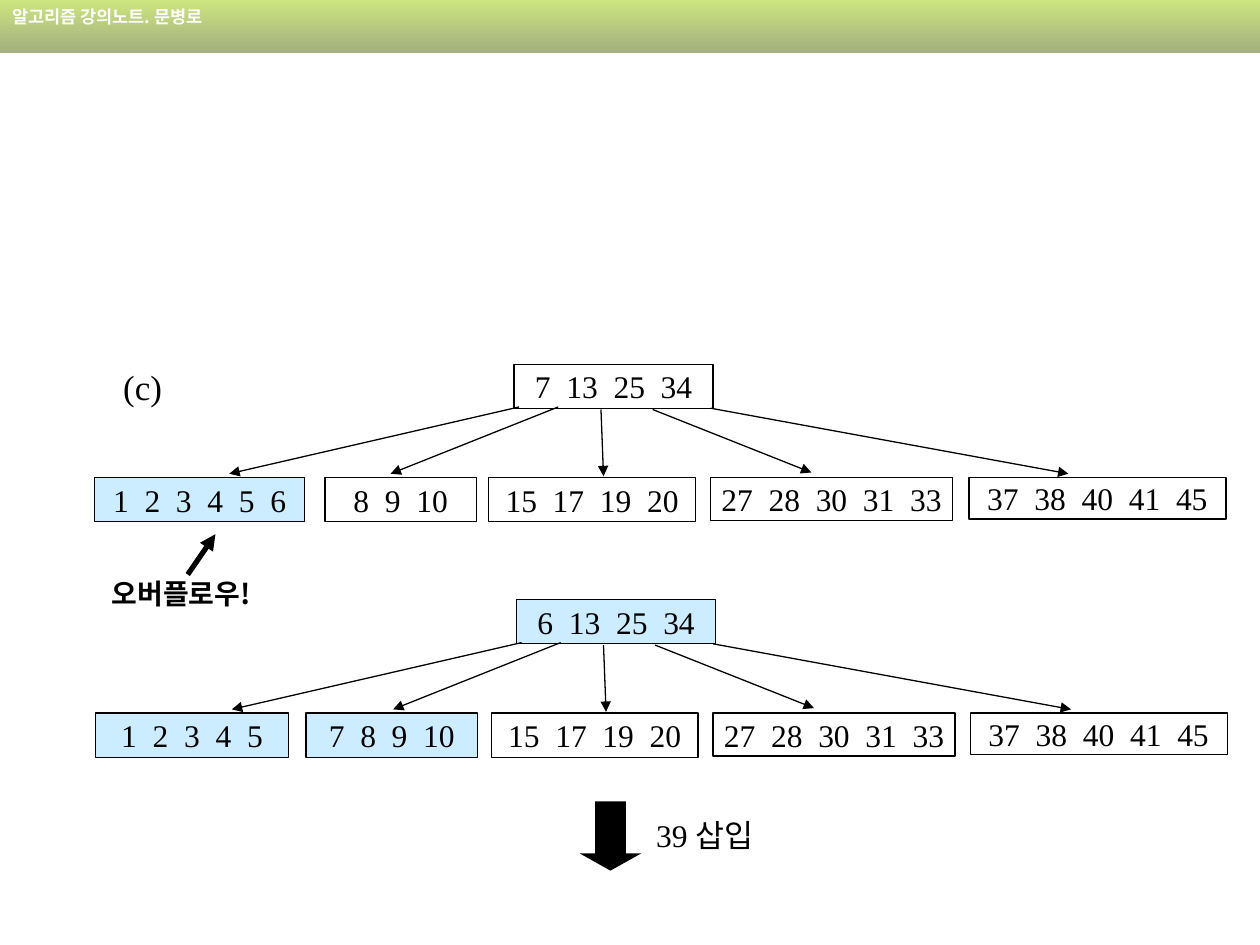
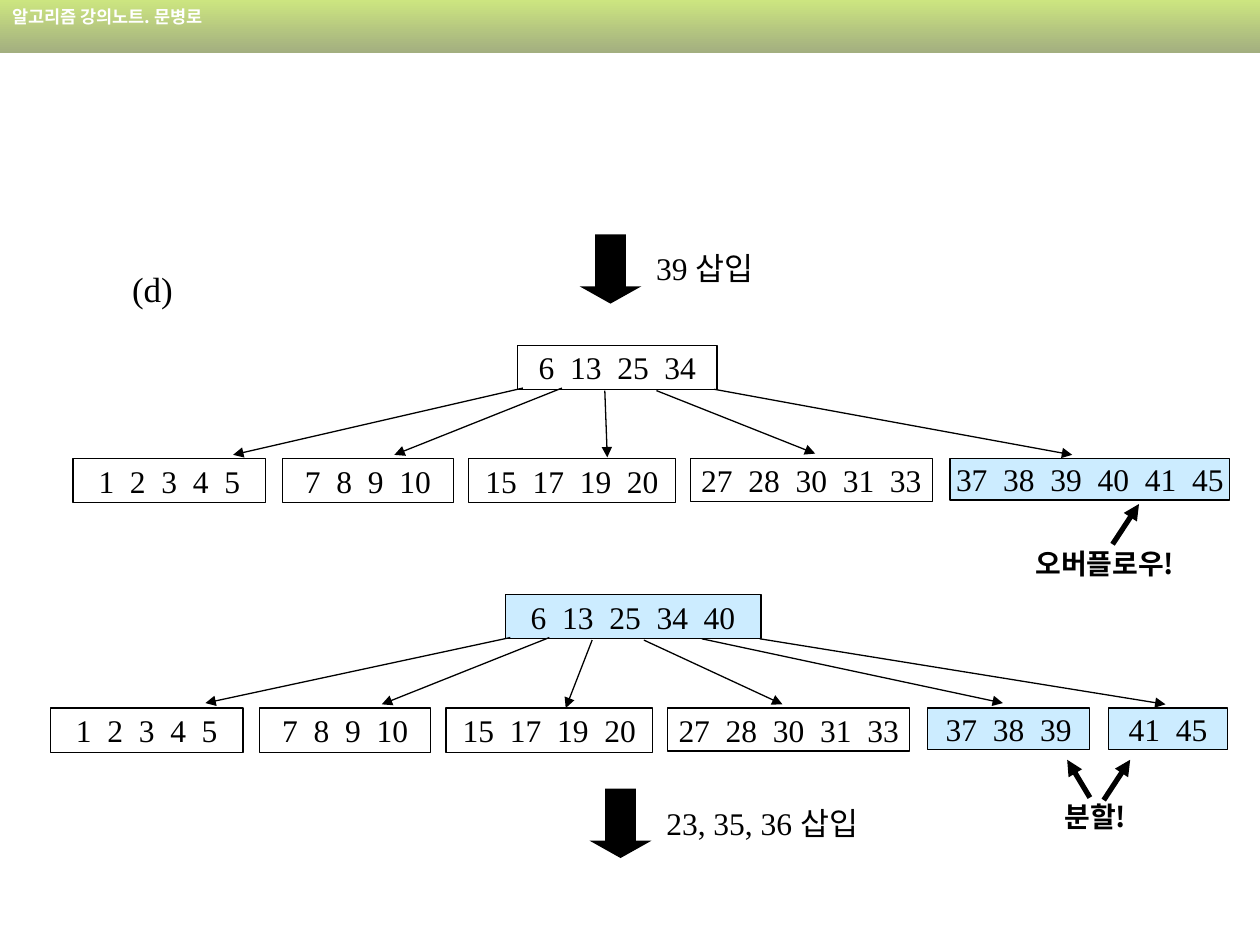
from lxml import etree
from pptx import Presentation
from pptx.dml.color import RGBColor
from pptx.enum.shapes import MSO_CONNECTOR, MSO_SHAPE
from pptx.enum.text import MSO_ANCHOR, MSO_AUTO_SIZE, PP_ALIGN
from pptx.oxml.ns import qn
from pptx.util import Inches, Pt

RECT, DOWN_ARROW = MSO_SHAPE.RECTANGLE, MSO_SHAPE.DOWN_ARROW
STRAIGHT = MSO_CONNECTOR.STRAIGHT
TOP, MIDDLE = MSO_ANCHOR.TOP, MSO_ANCHOR.MIDDLE
LEFT, CENTER = PP_ALIGN.LEFT, PP_ALIGN.CENTER
FIT_TEXT = MSO_AUTO_SIZE.SHAPE_TO_FIT_TEXT

COLORS = {
    "ink": "000000",
    "changed": "CCECFF",
    "band_top": "CCE580",
    "band_bottom": "A3AF80",
    "band_text": "FFFFFF",
}
SERIF, KOREAN = "Times New Roman", "Noto Sans CJK KR"
BAND_TEXT = "알고리즘 강의노트. 문병로"

# Pointer ends are measured from the top left corner of the root.
POINTER_STARTS = [(0.04, 0.34), (0.35, 0.34), (0.69, 0.36),
                  (1.10, 0.36), (1.56, 0.35), (2.02, 0.35)]
FIVE_ENDS = [(-2.26, 0.87), (-0.98, 0.87), (0.71, 0.89), (2.36, 0.86), (4.40, 0.87)]
SIX_ENDS = [(-2.38, 0.86), (-0.98, 0.87), (0.48, 0.90), (2.20, 0.87),
            (3.95, 0.86), (5.24, 0.87)]
LEAF_DROP = 0.9
NODE_HEIGHT = 0.35
LEAF_HEIGHTS = [0.35, 0.35, 0.35, 0.34, 0.33, 0.33]

# root: left, top, width, keys, changed; leaf: left, width, keys, changed
SLIDES = [
    {
        "label": ("(c)", 0.88, 2.85, 0.7),
        "trees": [
            {"root": (4.08, 2.89, 1.58, [7, 13, 25, 34], False),
             "ends": FIVE_ENDS,
             "leaves": [(0.75, 1.67, [1, 2, 3, 4, 5, 6], True),
                        (2.58, 1.20, [8, 9, 10], False),
                        (3.88, 1.64, [15, 17, 19, 20], False),
                        (5.64, 1.92, [27, 28, 30, 31, 33], False),
                        (7.69, 2.04, [37, 38, 40, 41, 45], False)]},
            {"root": (4.10, 4.76, 1.58, [6, 13, 25, 34], True),
             "ends": FIVE_ENDS,
             "leaves": [(0.76, 1.53, [1, 2, 3, 4, 5], True),
                        (2.43, 1.36, [7, 8, 9, 10], True),
                        (3.90, 1.64, [15, 17, 19, 20], False),
                        (5.66, 1.92, [27, 28, 30, 31, 33], False),
                        (7.70, 2.04, [37, 38, 40, 41, 45], False)]},
        ],
        "notes": [("오버플로우!", 0.79, 4.53, 1.5)],
        "note_arrows": [((1.49, 4.56), (1.71, 4.24))],
        "steps": [("39 삽입", 4.60, 6.36, 1.2)],
    },
    {
        "label": ("(d)", 0.95, 2.07, 0.7),
        "trees": [
            {"root": (4.11, 2.74, 1.58, [6, 13, 25, 34], False),
             "ends": FIVE_ENDS,
             "leaves": [(0.58, 1.53, [1, 2, 3, 4, 5], False),
                        (2.24, 1.36, [7, 8, 9, 10], False),
                        (3.72, 1.64, [15, 17, 19, 20], False),
                        (5.48, 1.92, [27, 28, 30, 31, 33], False),
                        (7.54, 2.22, [37, 38, 39, 40, 41, 45], True)]},
            {"root": (4.01, 4.72, 2.03, [6, 13, 25, 34, 40], True),
             "ends": SIX_ENDS,
             "leaves": [(0.40, 1.53, [1, 2, 3, 4, 5], False),
                        (2.06, 1.36, [7, 8, 9, 10], False),
                        (3.54, 1.64, [15, 17, 19, 20], False),
                        (5.30, 1.92, [27, 28, 30, 31, 33], False),
                        (7.36, 1.29, [37, 38, 39], True),
                        (8.80, 0.94, [41, 45], True)]},
        ],
        "notes": [("오버플로우!", 8.12, 4.29, 1.5), ("분할!", 8.35, 6.30, 0.9)],
        "note_arrows": [((8.83, 4.32), (9.04, 4.00)),
                        ((8.76, 6.35), (8.97, 6.03)),
                        ((8.65, 6.33), (8.47, 6.03))],
        "steps": [("39 삽입", 4.60, 1.86, 1.2),
                  ("23, 35, 36 삽입", 4.68, 6.26, 2.0)],
    },
]


def rgb(name):
    return RGBColor.from_string(COLORS[name])


def write(sp, text, size, font=SERIF, color="ink", bold=False, align=LEFT,
          anchor=TOP, wrap=True):
    tf = sp.text_frame
    tf.text = text
    tf.word_wrap = wrap
    tf.vertical_anchor = anchor
    p = tf.paragraphs[0]
    p.alignment = align
    r = p.runs[0]
    r.font.name = font
    r.font.size = Pt(size)
    r.font.bold = bold
    r.font.color.rgb = rgb(color)
    east_asian = etree.SubElement(r.font._element, qn("a:ea"))
    east_asian.set("typeface", KOREAN)


def add_preset(slide, kind, left, top, width, height):
    sp = slide.shapes.add_shape(kind, Inches(left), Inches(top),
                                Inches(width), Inches(height))
    sp.shadow.inherit = False
    sp.line.fill.background()
    return sp


def add_band(slide):
    sp = add_preset(slide, RECT, 0, 0, 10, 0.42)
    sp.fill.gradient()
    sp.fill.gradient_angle = 270
    for stop, name, position in zip(sp.fill.gradient_stops,
                                    ("band_top", "band_bottom"), (0, 1)):
        stop.color.rgb = rgb(name)
        stop.position = position
    write(sp, BAND_TEXT, 10, KOREAN, "band_text", bold=True)


def add_node(slide, left, top, width, height, keys, changed):
    sp = add_preset(slide, RECT, left, top, width, height)
    if changed:
        sp.fill.solid()
        sp.fill.fore_color.rgb = rgb("changed")
    else:
        sp.fill.background()
    sp.line.color.rgb = rgb("ink")
    sp.line.width = Pt(0.75)
    write(sp, "  ".join(map(str, keys)), 18, align=CENTER, anchor=MIDDLE, wrap=False)


def add_arrow(slide, start, end, weight=0.75):
    line = slide.shapes.add_connector(STRAIGHT, *map(Inches, start + end))
    line.line.color.rgb = rgb("ink")
    line.line.width = Pt(weight)
    props = line._element.spPr
    etree.SubElement(props.find(qn("a:ln")), qn("a:tailEnd")).set("type", "triangle")
    etree.SubElement(props, qn("a:effectLst"))


def add_text(slide, text, left, top, width, height, size, **style):
    sp = slide.shapes.add_textbox(Inches(left), Inches(top),
                                  Inches(width), Inches(height))
    write(sp, text, size, **style)
    sp.text_frame.auto_size = FIT_TEXT


def add_tree(slide, tree):
    left, top, width, keys, changed = tree["root"]
    for (x, w, leaf_keys, leaf_changed), height in zip(tree["leaves"], LEAF_HEIGHTS):
        add_node(slide, x, top + LEAF_DROP, w, height, leaf_keys, leaf_changed)
    add_node(slide, left, top, width, NODE_HEIGHT, keys, changed)
    for (x1, y1), (x2, y2) in zip(POINTER_STARTS, tree["ends"]):
        add_arrow(slide, (left + x1, top + y1), (left + x2, top + y2))


def add_step(slide, text, left, top, width):
    """Block arrow with the insertion that leads to the next state."""
    sp = add_preset(slide, DOWN_ARROW, left, top, 0.49, 0.55)
    sp.adjustments[0] = 0.5
    sp.adjustments[1] = 0.28
    sp.fill.solid()
    sp.fill.fore_color.rgb = rgb("ink")
    add_text(slide, text, left + 0.51, top + 0.07, width, 0.4, 18)


def main():
    prs = Presentation()
    prs.slide_width, prs.slide_height = Inches(10), Inches(7.5)
    for content in SLIDES:
        slide = prs.slides.add_slide(prs.slide_layouts[6])
        add_band(slide)
        for tree in content["trees"]:
            add_tree(slide, tree)
        add_text(slide, *content["label"], 0.44, 20)
        for note in content["notes"]:
            add_text(slide, *note, 0.37, 16, font=KOREAN, bold=True)
        for start, end in content["note_arrows"]:
            add_arrow(slide, start, end, weight=3)
        for step in content["steps"]:
            add_step(slide, *step)
    prs.save("out.pptx")


if __name__ == "__main__":
    main()
